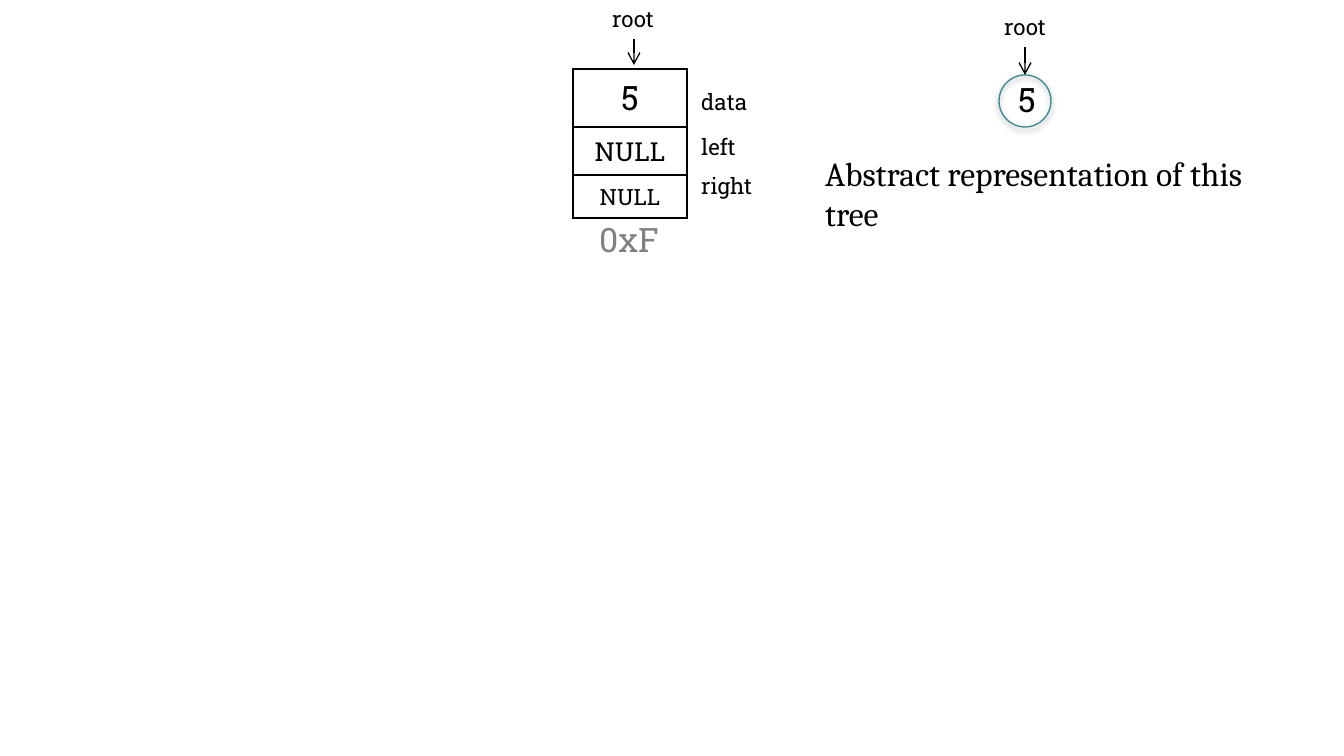
from dataclasses import dataclass

from lxml.etree import SubElement
from pptx import Presentation
from pptx.dml.color import RGBColor as Rgb
from pptx.enum.shapes import MSO_CONNECTOR as Connector, MSO_SHAPE as Shape
from pptx.enum.text import MSO_ANCHOR as Anchor, PP_ALIGN as Align
from pptx.oxml import parse_xml
from pptx.oxml.ns import nsdecls, qn
from pptx.util import Pt


@dataclass(frozen=True)
class Theme:
    ink: str = "000000"
    address: str = "808080"
    ring: str = "3C8C93"
    node_font: str = "Roboto Slab"
    caption_font: str = "Cambria"
    large: int = 18
    medium: int = 14
    small: int = 12
    border: float = 1
    stroke: float = 0.75


THEME = Theme()

# Content: lengths in px, 134.4 px to the inch
SLIDE_W, SLIDE_H = 1344, 756
NODE_X, NODE_Y, NODE_W = 573, 69, 114
# value, type size, row height
NODE_FIELDS = [
    ("5", THEME.large, 58),
    ("NULL", THEME.medium, 48),
    ("NULL", THEME.small, 43),
]
# text, left, top, width
FIELD_LABELS = [("data", 688, 82, 74), ("left", 688, 127, 62), ("right", 688, 166, 79)]
ADDRESS = ("0xF", 586, 212, 87)
CAPTION = ("Abstract representation of this tree", 812, 146, 496)
CIRCLE_X, CIRCLE_Y, CIRCLE_D = 999, 75, 52
CIRCLE_VALUE = ("5", 1004, 72, 46)
# root label left, top; arrow x
NODE_ROOT = (599, -1, 634)
CIRCLE_ROOT = (991, 7, CIRCLE_X + CIRCLE_D // 2)
ROOT_W, ARROW_DROP, ARROW_LENGTH = 70, 40, 26
LABEL_H = {THEME.small: 40, THEME.large: 54}


def px(length):
    return round(length * 914400 / 134.4)


def set_font(paragraph, size, color=THEME.ink, font=THEME.node_font):
    paragraph.font.name = font
    paragraph.font.size = Pt(size)
    paragraph.font.color.rgb = Rgb.from_string(color)


def add_label(text, x, y, w, size=THEME.small, color=THEME.ink,
              font=THEME.node_font, align=Align.LEFT, wrap=False):
    box = slide.shapes.add_textbox(px(x), px(y), px(w), px(LABEL_H[size]))
    box.text_frame.word_wrap = wrap
    paragraph = box.text_frame.paragraphs[0]
    paragraph.text = text
    paragraph.alignment = align
    set_font(paragraph, size, color, font)


def add_root(x, y, arrow_x, target=None):
    add_label("root", x, y, ROOT_W)
    start = y + ARROW_DROP
    arrow = slide.shapes.add_connector(
        Connector.STRAIGHT, px(arrow_x), px(start), px(arrow_x), px(start + ARROW_LENGTH))
    if target is not None:
        arrow.end_connect(target, 0)
    arrow.line.color.rgb = Rgb.from_string(THEME.ink)
    arrow.line.width = Pt(THEME.stroke)
    SubElement(arrow.line._get_or_add_ln(), qn("a:tailEnd"), type="arrow")
    SubElement(arrow._element.spPr, qn("a:effectLst"))


def add_borders(cell):
    properties = cell._tc.get_or_add_tcPr()
    for position, side in enumerate(("lnL", "lnR", "lnT", "lnB")):
        properties.insert(position, parse_xml(
            f'<a:{side} {nsdecls("a")} w="{Pt(THEME.border)}"><a:solidFill>'
            f'<a:srgbClr val="{THEME.ink}"/></a:solidFill></a:{side}>'))


def add_soft_shadow(shape):
    shape._element.spPr.append(parse_xml(
        f'<a:effectLst {nsdecls("a")}><a:outerShdw blurRad="{Pt(3.1)}" '
        f'dist="{Pt(1.6)}" dir="5400000" rotWithShape="0">'
        f'<a:srgbClr val="{THEME.ink}"><a:alpha val="38000"/></a:srgbClr>'
        '</a:outerShdw></a:effectLst>'))


presentation = Presentation()
presentation.slide_width, presentation.slide_height = px(SLIDE_W), px(SLIDE_H)
slide = presentation.slides.add_slide(presentation.slide_layouts[6])

# Node in memory
node_height = sum(height for _, _, height in NODE_FIELDS)
node = slide.shapes.add_table(
    len(NODE_FIELDS), 1, px(NODE_X), px(NODE_Y), px(NODE_W), px(node_height)).table
node.first_row = node.horz_banding = False
for row, (value, size, height) in enumerate(NODE_FIELDS):
    node.rows[row].height = px(height)
    cell = node.cell(row, 0)
    cell.text = value
    cell.vertical_anchor = Anchor.TOP
    cell.fill.background()
    add_borders(cell)
    paragraph = cell.text_frame.paragraphs[0]
    paragraph.alignment = Align.CENTER
    set_font(paragraph, size)

add_label(*ADDRESS, size=THEME.large, color=THEME.address)
for field_label in FIELD_LABELS:
    add_label(*field_label)
add_root(*NODE_ROOT)

# Abstract tree
circle = slide.shapes.add_shape(
    Shape.OVAL, px(CIRCLE_X), px(CIRCLE_Y), px(CIRCLE_D), px(CIRCLE_D))
circle.fill.background()
circle.line.color.rgb = Rgb.from_string(THEME.ring)
circle.line.width = Pt(THEME.stroke)
add_soft_shadow(circle)
add_root(*CIRCLE_ROOT, target=circle)
add_label(*CIRCLE_VALUE, size=THEME.large, align=Align.CENTER)
add_label(*CAPTION, size=THEME.large, font=THEME.caption_font, wrap=True)

presentation.save("out.pptx")
